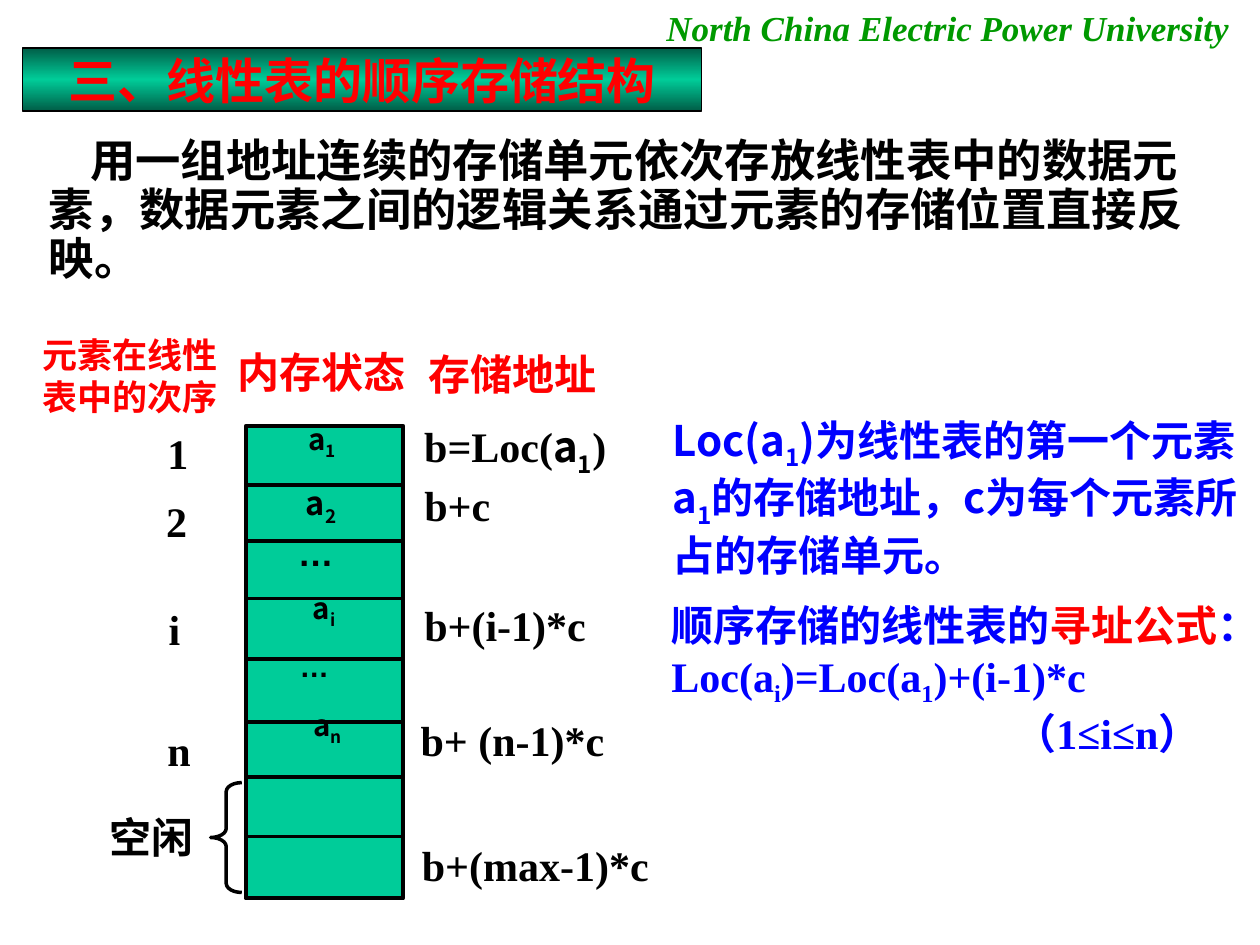
from copy import deepcopy

from lxml import etree
from pptx import Presentation
from pptx.dml.color import RGBColor
from pptx.enum.shapes import MSO_CONNECTOR, MSO_SHAPE
from pptx.enum.text import MSO_ANCHOR, MSO_AUTO_SIZE, PP_ALIGN
from pptx.oxml.ns import qn
from pptx.util import Pt

LEFT, CENTER = PP_ALIGN.LEFT, PP_ALIGN.CENTER
TOP, MIDDLE = MSO_ANCHOR.TOP, MSO_ANCHOR.MIDDLE
NO_AUTOFIT = MSO_AUTO_SIZE.NONE
RECTANGLE, LEFT_BRACE = MSO_SHAPE.RECTANGLE, MSO_SHAPE.LEFT_BRACE
STRAIGHT = MSO_CONNECTOR.STRAIGHT

COLORS = {"black": "000000", "red": "FF0000", "blue": "0000FF",
          "green": "009900", "cell": "00CC99", "dark": "005E47"}
SERIF, SANS, ARIAL = "Times New Roman", "Noto Sans CJK SC", "Arial"
SUBSCRIPT = {"subscript": True}
TEXT_INSETS = (7.2, 3.6, 7.2, 3.6)
CELL_INSETS = (1.5, 0, 1.5, 3)


def rgb(name):
    return RGBColor.from_string(COLORS[name])


class SlideBuilder:
    def __init__(self, slide):
        self.slide = slide

    def place(self, shape, left, top, width, height):
        shape.left, shape.top = Pt(left), Pt(top)
        shape.width, shape.height = Pt(width), Pt(height)

    def format_run(self, run, size, color, font=SERIF, italic=False, subscript=False):
        run.font.size = Pt(size)
        run.font.bold = True
        run.font.italic = italic
        run.font.color.rgb = rgb(color)
        run.font.name = font
        properties = run.font._element
        etree.SubElement(properties, qn("a:ea"), typeface=SANS)
        if subscript:
            properties.set("baseline", "-25000")

    def format_frame(self, frame, insets, wrap, anchor):
        frame.auto_size = NO_AUTOFIT
        frame.word_wrap = wrap
        frame.vertical_anchor = anchor
        (frame.margin_left, frame.margin_top,
         frame.margin_right, frame.margin_bottom) = map(Pt, insets)

    def title(self, text, box):
        """Turn the title placeholder into a rounded bar with a gradient."""
        title = self.slide.shapes.title
        self.place(title, *box)
        properties = title._element.spPr
        geometry = etree.SubElement(properties, qn("a:prstGeom"), prst="roundRect")
        etree.SubElement(geometry, qn("a:avLst"))
        title.fill.gradient()
        title.fill.gradient_angle = 90
        stop_list = properties.find(".//" + qn("a:gsLst"))
        stop_list.insert(1, deepcopy(stop_list[0]))
        for stop, position, color in zip(title.fill.gradient_stops, (0, 0.5, 1),
                                         ("dark", "cell", "dark")):
            stop.position = position
            stop.color.rgb = rgb(color)
        title.line.color.rgb = rgb("black")
        title.line.width = Pt(0.75)
        frame = title.text_frame
        frame.text = text
        self.format_frame(frame, TEXT_INSETS, False, MIDDLE)
        frame.paragraphs[0].alignment = CENTER
        self.format_run(frame.paragraphs[0].runs[0], 28, "red")

    def text(self, paragraphs, box, size=24, color="black", font=SERIF, italic=False,
             align=LEFT, spacing=1.0, insets=TEXT_INSETS, wrap=False, anchor=TOP):
        """Each paragraph is a string or a list of (text, style changes) runs."""
        frame = self.slide.shapes.add_textbox(*map(Pt, box)).text_frame
        self.format_frame(frame, insets, wrap, anchor)
        for index, runs in enumerate(paragraphs):
            paragraph = frame.add_paragraph() if index else frame.paragraphs[0]
            paragraph.alignment = align
            paragraph.line_spacing = spacing
            for content, changes in [(runs, {})] if isinstance(runs, str) else runs:
                run = paragraph.add_run()
                run.text = content
                style = {"size": size, "color": color, "font": font, "italic": italic}
                self.format_run(run, **{**style, **changes})
        return frame

    def indent(self, paragraph, left=0, first_line=0):
        properties = paragraph._p.get_or_add_pPr()
        properties.set("marL", str(Pt(left)))
        properties.set("indent", str(Pt(first_line)))

    def shape(self, kind, box, fill=None, line_width=2.25):
        shape = self.slide.shapes.add_shape(kind, *map(Pt, box))
        shape.shadow.inherit = False
        if fill:
            shape.fill.solid()
            shape.fill.fore_color.rgb = rgb(fill)
        else:
            shape.fill.background()
        shape.line.color.rgb = rgb("black")
        shape.line.width = Pt(line_width)
        return shape

    def horizontal_line(self, left, right, y):
        line = self.slide.shapes.add_connector(STRAIGHT, Pt(left), Pt(y), Pt(right), Pt(y))
        line.line.color.rgb = rgb("black")
        line.line.width = Pt(2.25)
        etree.SubElement(line._element.spPr, qn("a:effectLst"))


def add_memory_column(builder):
    left, top, width, height = 140.4, 243.4, 90, 270
    builder.shape(RECTANGLE, (left, top, width, height), fill="cell")
    for y in (277.2, 309, 342, 376.6, 412.6, 444.2, 478):
        builder.horizontal_line(left, left + width, y)

    cells = [
        ("1", (161, 242.6, 46, 27), 16.8, TOP),
        ("2", (155, 275, 57, 26.6), 18.6, MIDDLE),
        (None, (154.5, 306, 52, 28), 20.4, TOP),
        ("i", (157.5, 339.1, 55.4, 26.6), 16.8, TOP),
        (None, (154.5, 374.4, 50.4, 24.5), 16.8, TOP),
        ("n", (157.5, 406.1, 59, 28), 16.8, TOP),
    ]
    for subscript, box, size, anchor in cells:
        runs = [("a", {}), (subscript, SUBSCRIPT)] if subscript else [("…", {"font": ARIAL})]
        builder.text([runs], box, size, font=SANS, align=CENTER, anchor=anchor,
                     spacing=0.9 if size > 20 else 0.8, wrap=True,
                     insets=CELL_INSETS if anchor == TOP else (0, 0, 0, 0))

    brace = builder.shape(LEFT_BRACE, (120.4, 447.2, 17.8, 62.8), line_width=2)
    brace.adjustments[0] = 0.29


def add_labels(builder):
    builder.text(["元素在线性", "表中的次序"], (17.3, 187.2, 114.4, 55.4), 20, "red")
    for heading, left, top in (("内存状态", 128.9, 194.4), ("存储地址", 237.8, 195.8)):
        builder.text([heading], (left, top, 110.4, 36), color="red")

    first_address = [("b=Loc(", {}), ("a", {"font": SANS}),
                     ("1", {"font": SANS, **SUBSCRIPT}), (")", {})]
    labels = [
        ("1", 88.6, 240.5, 26.4), ("2", 87.8, 279.4, 26.4),
        ("i", 89.3, 341.3, 21), ("n", 88.6, 410.4, 27.8), ("空闲", 55.4, 460, 62.4),
        (first_address, 235.3, 236.9, 118), ("b+c", 235.4, 270.7, 52),
        ("b+(i-1)*c", 235.4, 339.1, 106.6), ("b+ (n-1)*c", 233.3, 404.6, 119.5),
        ("b+(max-1)*c", 234, 476, 144),
    ]
    for label, left, top, width in labels:
        builder.text([label], (left, top, width, 36))


def add_explanations(builder):
    introduction = builder.text(
        ["用一组地址连续的存储单元依次存放线性表中的数据元素，"
         "数据元素之间的逻辑关系通过元素的存储位置直接反映。"],
        (20.9, 75.6, 676.8, 105), 25.9, font=SANS, spacing=0.9, wrap=True)
    builder.indent(introduction.paragraphs[0], first_line=23.5)

    builder.text([[("Loc(a", {}), ("1", SUBSCRIPT), (")为线性表的第一个元素a", {}),
                   ("1", SUBSCRIPT), ("的存储地址，c为每个元素所占的存储单元。", {})]],
                 (377.3, 233.3, 342.7, 102.2), color="blue", font=SANS, wrap=True)

    formula = builder.text(
        [[("顺序存储的线性表的", {"font": SANS}),
          ("寻址公式", {"font": SANS, "color": "red"}), ("：", {"font": SANS})],
         [("Loc(a", {}), ("i", SUBSCRIPT), (")=Loc(a", {}), ("1", SUBSCRIPT),
          (")+(i-1)*c", {})],
         "（1≤i≤n）"],
        (376.6, 339.1, 360.7, 126.7), color="blue", wrap=True)
    builder.indent(formula.paragraphs[2], left=196)


def main():
    presentation = Presentation()
    presentation.slide_width, presentation.slide_height = Pt(720), Pt(540)
    title_only = presentation.slide_layouts[5]
    builder = SlideBuilder(presentation.slides.add_slide(title_only))

    builder.title("三、线性表的顺序存储结构", (13, 27.4, 388, 36))
    builder.text(["North China Electric Power University"], (373.7, 0, 336.2, 31.7),
                 20, "green", italic=True)
    add_explanations(builder)
    add_memory_column(builder)
    add_labels(builder)
    presentation.save("out.pptx")


if __name__ == "__main__":
    main()
